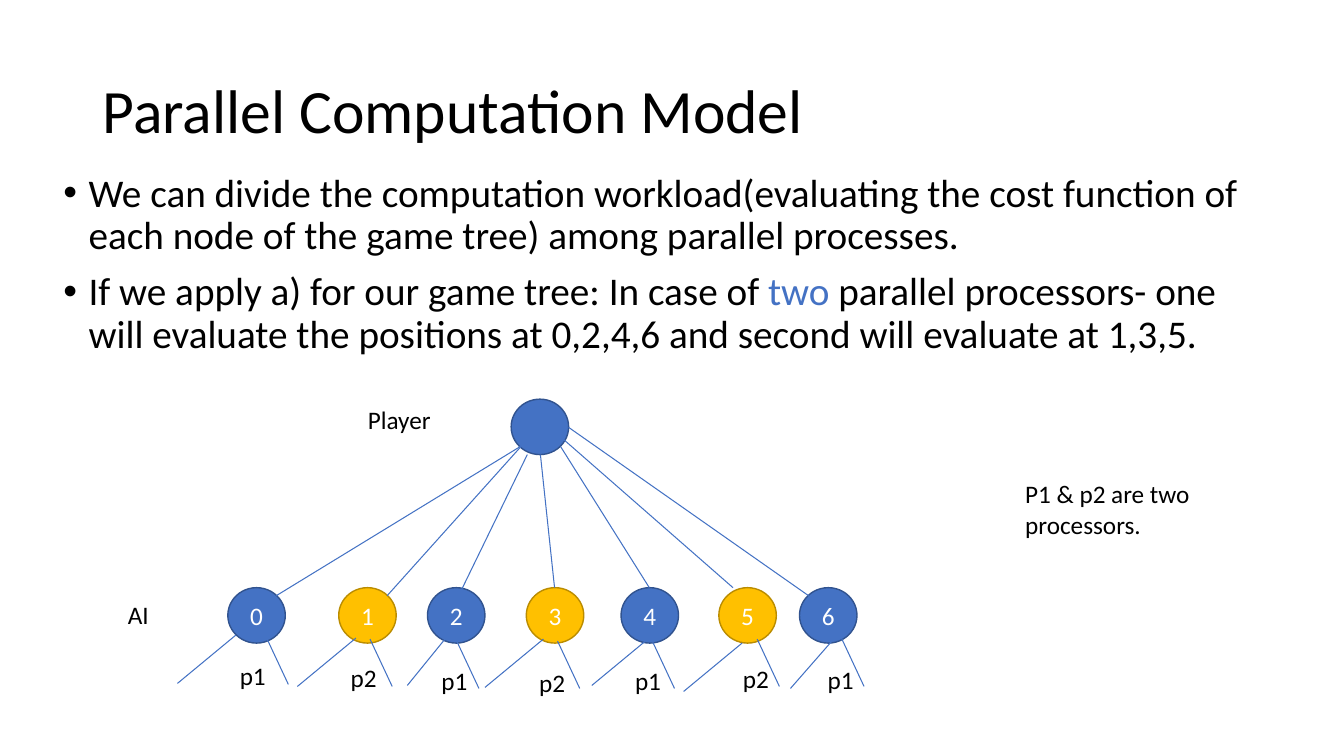
from pptx import Presentation
from pptx.dml.color import RGBColor
from pptx.enum.shapes import MSO_CONNECTOR, MSO_SHAPE
from pptx.enum.text import MSO_ANCHOR, PP_ALIGN
from pptx.oxml.ns import qn
from pptx.util import Inches, Pt
from lxml import etree

LINE = MSO_CONNECTOR.STRAIGHT
OVAL = MSO_SHAPE.OVAL
MIDDLE = MSO_ANCHOR.MIDDLE
CENTER = PP_ALIGN.CENTER
BLUE, GOLD, BLACK, WHITE = "4472C4", "FFC000", "000000", "FFFFFF"
EDGE = {BLUE: "31538F", GOLD: "BA8C00"}
rgb = RGBColor.from_string


def write(para, text, size=18, color=BLACK):
    run = para.add_run()
    run.text = text
    style = {"name": "Calibri", "size": Pt(size)}
    for key, value in style.items():
        setattr(run.font, key, value)
    run.font.color.rgb = rgb(color)


def frame(left, top, width, height, wrap=True):
    box = slide.shapes.add_textbox(*map(Inches, (left, top, width, height)))
    box.text_frame.word_wrap = wrap
    return box.text_frame


deck = Presentation()
deck.slide_width, deck.slide_height = Inches(13.33), Inches(7.5)
slide = deck.slides.add_slide(deck.slide_layouts[6])

# Title
title = frame(0.92, 0.4, 11.5, 1.45)
title.vertical_anchor = MIDDLE
title.paragraphs[0].line_spacing = 0.9
write(title.paragraphs[0], "Parallel Computation Model", 44)

# Bullets: each is a list of text and colour
points = [
    [("We can divide the computation workload(evaluating the cost function of "
      "each node of the game tree) among parallel processes.", BLACK)],
    [("If we apply a) for our game tree: In case of ", BLACK),
     ("two", BLUE),
     (" parallel processors- one will evaluate the positions at 0,2,4,6 "
      "and second will evaluate at 1,3,5.", BLACK)],
]
body = frame(0.53, 1.67, 11.88, 5.09)
for i, point in enumerate(points):
    para = body.add_paragraph() if i else body.paragraphs[0]
    look = {"line_spacing": 0.9, "space_before": Pt(10 * i)}
    for key, value in look.items():
        setattr(para, key, value)
    props = para._p.get_or_add_pPr()
    props.set("marL", str(Inches(0.25)))
    props.set("indent", str(Inches(-0.25)))
    font = etree.SubElement(props, qn("a:buFont"))
    font.set("typeface", "Arial")
    etree.SubElement(props, qn("a:buChar")).set("char", "•")
    for text, color in point:
        write(para, text, 28, color)

# Tree nodes: root, then the numbered row
row = [2.26, 3.36, 4.24, 5.22, 6.16, 7.13, 7.93]
nodes = [("", 5.07, 3.96, BLUE)]
nodes += [(str(i), x, 5.83, GOLD if i % 2 else BLUE) for i, x in enumerate(row)]
for text, x, y, color in nodes:
    node = slide.shapes.add_shape(OVAL, *map(Inches, (x, y, 0.57, 0.55)))
    node.shadow.inherit = False
    node.fill.solid()
    node.fill.fore_color.rgb = rgb(color)
    node.line.color.rgb = rgb(EDGE[color])
    node.line.width = Pt(1)
    if text:
        node.text_frame.vertical_anchor = MIDDLE
        para = node.text_frame.paragraphs[0]
        para.alignment = CENTER
        write(para, text, color=WHITE)

# Branches from the root
lines = [
    (5.16, 4.43, 2.74, 5.91), (5.23, 4.36, 3.84, 5.91),
    (5.23, 4.51, 4.51, 5.99), (5.36, 4.51, 5.5, 5.83),
    (5.56, 4.43, 6.44, 5.83), (5.51, 4.29, 7.27, 5.83),
    (5.64, 4.24, 8.02, 5.91),
]

# Two legs under each node: left start and run, then right start
legs = [
    (2.34, 6.3, 0.58, 2.64, 6.32), (3.53, 6.33, 0.58, 3.67, 6.34),
    (4.43, 6.32, 0.39, 4.53, 6.36), (5.39, 6.34, 0.58, 5.53, 6.36),
    (6.45, 6.32, 0.58, 6.47, 6.36), (7.36, 6.38, 0.58, 7.51, 6.34),
    (8.26, 6.35, 0.42, 8.35, 6.34),
]
for x, y, run, right, top in legs:
    lines.append((x, y, x - run, y + 0.48))
    lines.append((right, top, right + 0.22, top + 0.47))

for ends in lines:
    line = slide.shapes.add_connector(LINE, *map(Inches, ends))
    line.line.color.rgb = rgb(BLUE)
    line.line.width = Pt(0.75)
    etree.SubElement(line._element.spPr, qn("a:effectLst"))

# Labels: processors alternate along the row
labels = [("AI", 1.17, 5.9, 0.41), ("Player", 3.55, 3.96, 0.83)]
spots = [(2.28, 6.5), (3.38, 6.52), (4.28, 6.55), (5.25, 6.57),
         (6.2, 6.55), (7.27, 6.53), (8.11, 6.54)]
labels += [(f"p{i % 2 + 1}", x, y, 0.46) for i, (x, y) in enumerate(spots)]
for text, x, y, width in labels:
    write(frame(x, y, width, 0.4, False).paragraphs[0], text)

# Side note
note = frame(10.07, 4.7, 1.96, 0.71)
write(note.paragraphs[0], "P1 & p2 are two processors.")

deck.save("out.pptx")
